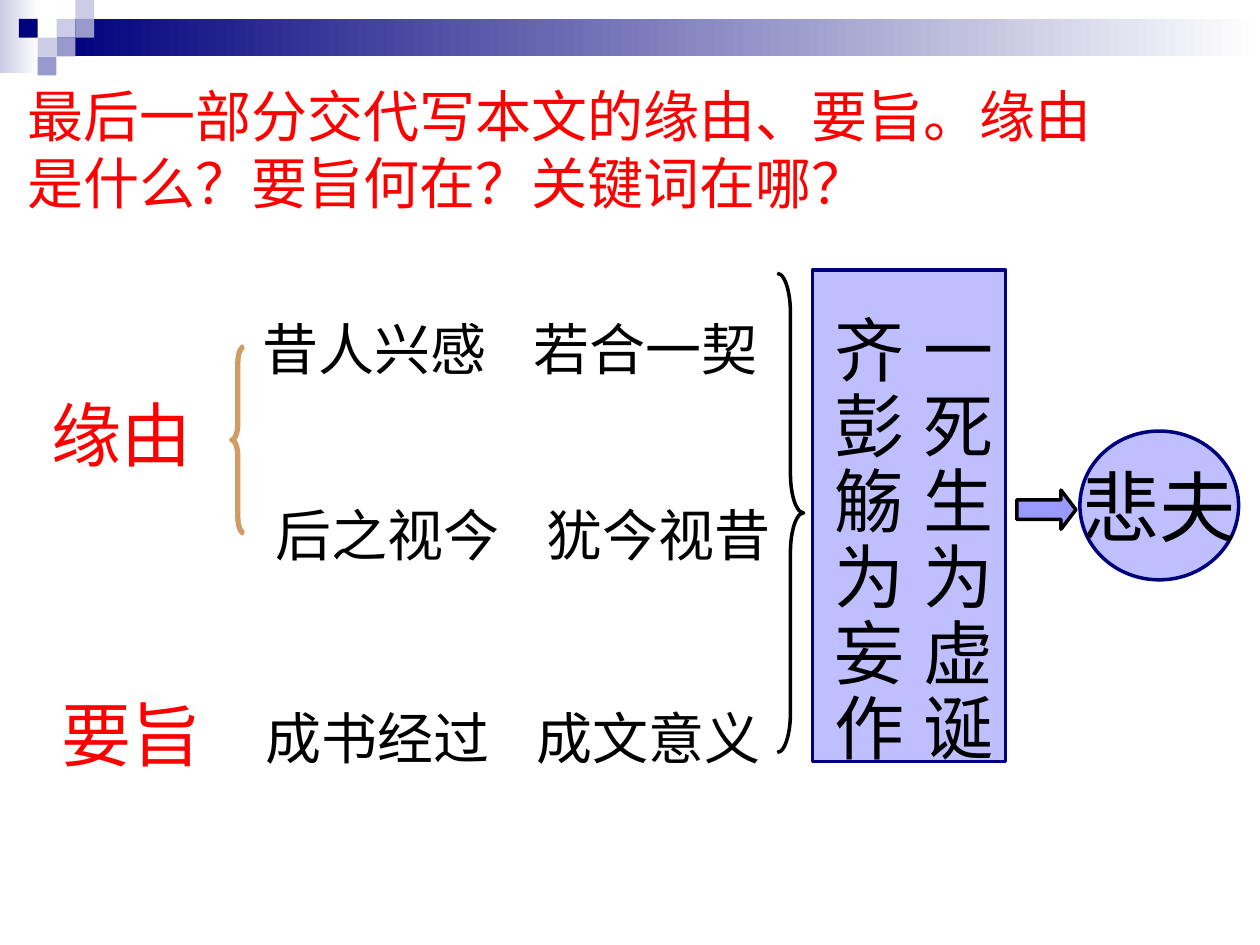
from lxml.etree import SubElement
from pptx import Presentation
from pptx.dml.color import RGBColor
from pptx.enum.shapes import MSO_SHAPE
from pptx.enum.text import MSO_ANCHOR, PP_ALIGN
from pptx.oxml.ns import qn
from pptx.util import Cm, Pt

BLACK = RGBColor(0x00, 0x00, 0x00)
RED = RGBColor(0xFF, 0x00, 0x00)
WHITE = RGBColor(0xFF, 0xFF, 0xFF)
NAVY = RGBColor(0x00, 0x00, 0x7D)
LAVENDER = RGBColor(0xCC, 0xCC, 0xE6)
MUTED_BLUE = RGBColor(0x99, 0x99, 0xCC)
PERIWINKLE = RGBColor(0x99, 0x99, 0xFF)
TAN = RGBColor(0xD2, 0x9B, 0x64)


def add_shape(slide, kind, box, fill=None, line=None, width=2, opacity=None):
    """Add a preset shape in a box of centimetres; no colour means none drawn."""
    shape = slide.shapes.add_shape(kind, *map(Cm, box))
    shape.shadow.inherit = False
    if fill is None:
        shape.fill.background()
    else:
        shape.fill.solid()
        shape.fill.fore_color.rgb = fill
    if line is None:
        shape.line.fill.background()
    else:
        shape.line.color.rgb = line
        shape.line.width = Pt(width)
    if opacity is not None:
        color = shape.fill._xPr.find(qn("a:solidFill"))[0]
        SubElement(color, qn("a:alpha"), val=str(opacity * 1000))
    return shape


def add_gradient(slide, box, start):
    """Add a rectangle fading from a colour to white, left to right."""
    shape = add_shape(slide, MSO_SHAPE.RECTANGLE, box, start)
    shape.fill.gradient()
    shape.fill.gradient_angle = 0
    for stop, color in zip(shape.fill.gradient_stops, (start, WHITE)):
        stop.color.rgb = color


def format_text(text_frame, size, color):
    """Give every run the slide's font, a size and a colour."""
    for paragraph in text_frame.paragraphs:
        for run in paragraph.runs:
            run.font.name = "Arial"
            run.font.size = Pt(size)
            run.font.color.rgb = color


def add_text(slide, box, text, size, color, wrap=True):
    """Add a text box in a box of centimetres."""
    text_frame = slide.shapes.add_textbox(*map(Cm, box)).text_frame
    text_frame.word_wrap = wrap
    text_frame.text = text
    format_text(text_frame, size, color)
    return text_frame


def add_header(slide, left, top, width):
    """Draw the fading bar and the checkered corner on a square grid."""
    unit = 0.38
    add_gradient(slide, (left, top, 0.79, 1.47), LAVENDER)
    add_gradient(slide, (left + 3 * unit, top + unit, width - 3 * unit, 2 * unit), NAVY)
    squares = {
        LAVENDER: [(3, 1), (4, 0), (2, 2)],
        MUTED_BLUE: [(4, 1), (3, 2), (2, 3)],
        NAVY: [(1, 1)],
    }
    for color, cells in squares.items():
        for column, row in cells:
            box = (left + column * unit, top + row * unit, unit, unit)
            add_shape(slide, MSO_SHAPE.RECTANGLE, box, color)


def add_question(slide, left, top, width, height):
    """Write the two-line question."""
    text = "最后一部分交代写本文的缘由、要旨。缘由\n是什么？要旨何在？关键词在哪？"
    add_text(slide, (left, top, width, height), text, 32, RED)


def add_phrase_pair(slide, box, first, second):
    """Write two phrases on one line, the second at a tab stop."""
    text_frame = add_text(slide, box, f"{first}\t{second}", 32, BLACK)
    properties = text_frame.paragraphs[0]._p.get_or_add_pPr()
    tabs = SubElement(properties, qn("a:tabLst"))
    SubElement(tabs, qn("a:tab"), pos=str(Cm(5.46)), algn="l")


def add_outline(slide, left, top, height):
    """Lay out the two headings, their phrases and the braces."""
    for label, x, y in (("缘由", 0, 2.26), ("要旨", 0.2, 8.31)):
        add_text(slide, (left + x, top + y, 3.33, 1.96), label, 40, RED, wrap=False)
    phrases = (
        ("昔人兴感", "若合一契", 4.26, 0.71),
        ("后之视今", "犹今视昔", 4.52, 4.45),
        ("成书经过", "成文意义", 4.32, 8.54),
    )
    for first, second, x, y in phrases:
        add_phrase_pair(slide, (left + x, top + y, 11.8, 1.63), first, second)
    braces = (
        (MSO_SHAPE.LEFT_BRACE, (left + 3.88, top + 1.48, 0.25, 3.76), TAN, 3, 1.3),
        (MSO_SHAPE.RIGHT_BRACE, (left + 14.88, top, 0.53, height), BLACK, 2, 1.5),
    )
    for kind, box, color, width, curve in braces:
        brace = add_shape(slide, kind, box, line=color, width=width)
        brace.adjustments[0] = curve


def add_quotation(slide, left, top, width, height):
    """Draw the panel with two columns read from top to bottom."""
    box = (left, top, width, height)
    add_shape(slide, MSO_SHAPE.RECTANGLE, box, PERIWINKLE, NAVY, opacity=62)
    for text, x in (("一死生为虚诞", 1.98), ("齐彭觞为妄作", 0.2)):
        column = (left + x, top + 0.81, 2.4, 9.4)
        text_frame = add_text(slide, column, text, 40, BLACK)
        text_frame.paragraphs[0].line_spacing = 0.9


def add_conclusion(slide, left, top, height):
    """Draw the arrow and the circled conclusion."""
    arrow = add_shape(slide, MSO_SHAPE.RIGHT_ARROW, (left, top + 1.19, 1.19, 0.79), PERIWINKLE, BLACK)
    arrow.adjustments[1] = 0.38
    circle = add_shape(slide, MSO_SHAPE.OVAL, (left + 1.27, top, 3.2, height), PERIWINKLE, NAVY, opacity=62)
    text_frame = circle.text_frame
    text_frame.word_wrap = False
    text_frame.vertical_anchor = MSO_ANCHOR.MIDDLE
    text_frame.text = "悲夫"
    text_frame.paragraphs[0].alignment = PP_ALIGN.CENTER
    format_text(text_frame, 44, BLACK)


def main():
    """Build the slide and save it."""
    presentation = Presentation()
    presentation.slide_width = Cm(25.4)
    presentation.slide_height = Cm(19.05)
    slide = presentation.slides.add_slide(presentation.slide_layouts[6])
    add_header(slide, 0, 0, 25.4)
    add_question(slide, 0.3, 1.52, 24, 2.97)
    add_outline(slide, 0.79, 5.51, 9.66)
    add_quotation(slide, 16.38, 5.44, 3.89, 9.91)
    add_conclusion(slide, 20.5, 8.69, 3)
    presentation.save("out.pptx")


if __name__ == "__main__":
    main()
